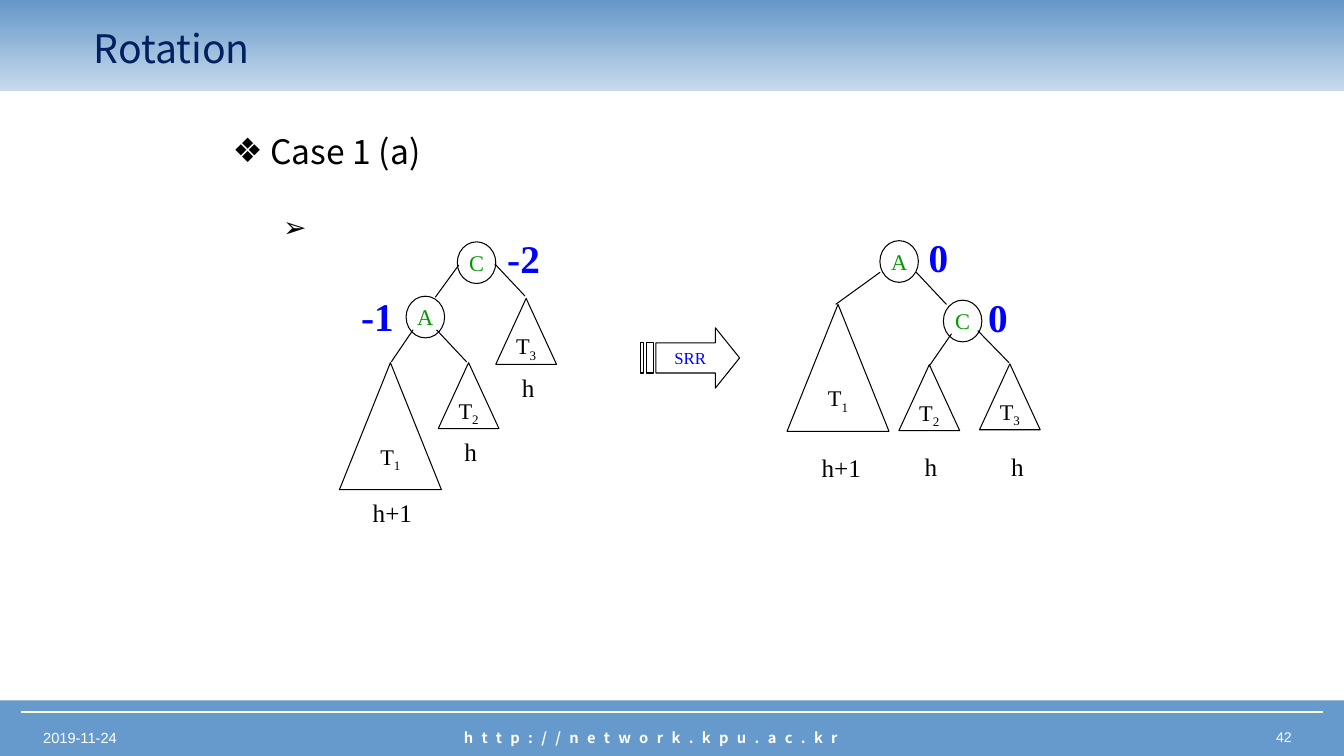
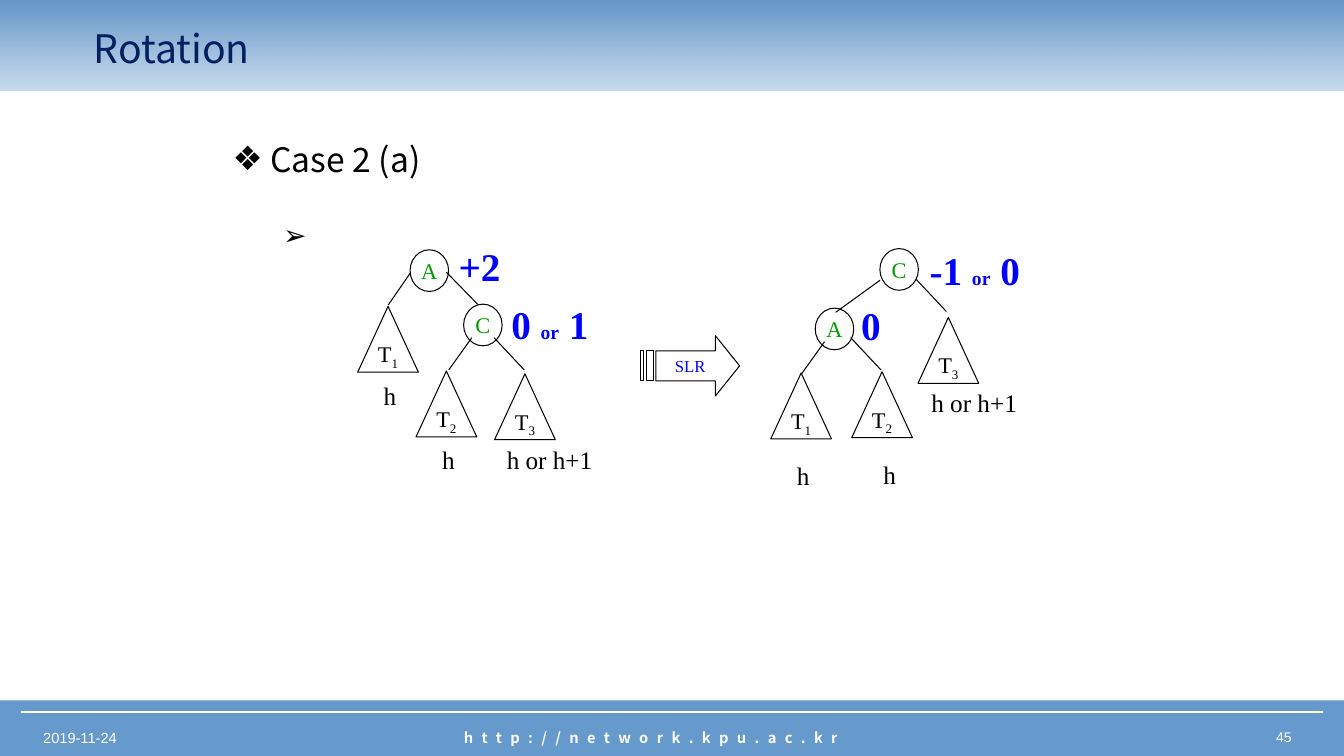
from dataclasses import dataclass

import lxml.etree
import pptx
import pptx.dml.color
import pptx.enum.shapes
import pptx.enum.text
import pptx.oxml.ns
import pptx.util

Cm = pptx.util.Cm
Pt = pptx.util.Pt
RGBColor = pptx.dml.color.RGBColor
SHAPE = pptx.enum.shapes.MSO_SHAPE
STRAIGHT = pptx.enum.shapes.MSO_CONNECTOR.STRAIGHT
ALIGN = pptx.enum.text.PP_ALIGN
MIDDLE = pptx.enum.text.MSO_ANCHOR.MIDDLE
qn = pptx.oxml.ns.qn

BAND_BLUE = RGBColor(0x66, 0x99, 0xCC)
BAND_TOP = RGBColor(0x64, 0x97, 0xC9)
CREAM = RGBColor(0xFF, 0xFF, 0xCC)
NAVY = RGBColor(0x00, 0x20, 0x60)
BLUE = RGBColor(0x00, 0x00, 0xFF)
GREEN = RGBColor(0x00, 0x99, 0x00)
BLACK = RGBColor(0x00, 0x00, 0x00)
WHITE = RGBColor(0xFF, 0xFF, 0xFF)
SANS, SERIF, FOOTER_FONT = "Noto Sans CJK KR", "Times New Roman", "Arial"

SLIDE_W, SLIDE_H = 33.87, 19.05
NODE_W, NODE_H = 0.97, 1.05
EDGE_DROP = 0.81
TREE_LEFTS = (8, 19)
ARROW_LEFT, ARROW_TOP = 16.15, 2.56
WEIGHT_WIDTHS = {"-2": 1.35, "-1": 1.35, "0": 1.02, "+2": 1.57, "0 or 1": 2.46, "-1 or 0": 2.79}
HEIGHT_WIDTHS = {"h": 0.84, "h+1": 1.5, "h or h+1": 2.67}


@dataclass
class Node:
    """Tree node: centre, balance weight with its offset, edges as (dx, dy, run)."""
    key: str
    x: float
    y: float
    weight: str
    weight_offset: tuple
    edges: tuple


@dataclass
class Subtree:
    """Triangular subtree: apex, height label, label shift and gap below the base."""
    index: str
    x: float
    y: float
    height: str
    shift: float = 0.05
    gap: float = 0.07


CASES = [
    ("Case 1 (a)", "42", 3.18, "SRR", (
        ([Node("C", 4.01, 0.92, "-2", (0.51, -0.83), ((-0.45, 0.06, -0.59), (0.46, 0.03, 0.76))),
          Node("A", 2.72, 2.29, "-1", (-1.88, -0.75), ((-0.31, 0.32, -0.55), (0.28, 0.32, 0.76)))],
         [Subtree("1", 1.84, 3.44, "h+1"),
          Subtree("2", 3.81, 3.44, "h"),
          Subtree("3", 5.26, 1.82, "h")]),
        ([Node("A", 3.66, 0.89, "0", (0.48, -0.83), ((-0.48, 0.27, -1.12), (0.43, 0.27, 0.76))),
          Node("C", 5.26, 2.39, "0", (0.38, -0.83), ((-0.28, 0.32, -0.56), (0.38, 0.24, 0.79)))],
         [Subtree("1", 2.12, 1.97, "h+1", 0.08, 0.41),
          Subtree("2", 4.42, 3.49, "h", 0.04, 0.41),
          Subtree("3", 6.45, 3.47, "h", 0.19, 0.41)]))),
    ("Case 2 (a)", "45", 3.38, "SLR", (
        ([Node("A", 2.82, 0.92, "+2", (0.48, -0.83), ((-0.48, 0.06, -0.56), (0.43, 0.04, 0.79))),
          Node("C", 4.17, 2.29, "0 or 1", (0.46, -0.75), ((-0.28, 0.32, -0.58), (0.28, 0.32, 0.76)))],
         [Subtree("1", 1.78, 1.82, "h"),
          Subtree("2", 3.25, 3.45, "h"),
          Subtree("3", 5.23, 3.52, "h or h+1", 0.62, 0)]),
        ([Node("C", 3.66, 0.89, "-1 or 0", (0.51, -0.72), ((-0.48, 0.27, -1.12), (0.43, 0.25, 0.76))),
          Node("A", 2.03, 2.39, "0", (0.41, -0.83), ((-0.25, 0.32, -0.58), (0.41, 0.22, 0.76)))],
         [Subtree("1", 1.19, 3.5, "h", 0.05, 0.41),
          Subtree("2", 3.23, 3.47, "h", 0.19, 0.41),
          Subtree("3", 4.9, 2.1, "h or h+1", 0.65, -0.03)]))),
]


def style(paragraph, size, color, face=SERIF, bold=False, align=ALIGN.CENTER):
    """Set the font and alignment of a whole paragraph."""
    paragraph.alignment = align
    font = paragraph.font
    font.size, font.name, font.bold = Pt(size), face, bold
    font.color.rgb = color


def add_outline(slide, kind, left, top, width, height):
    """Add an unfilled preset shape with a thin black line and centred text."""
    outline = slide.shapes.add_shape(kind, Cm(left), Cm(top), Cm(width), Cm(height))
    outline.shadow.inherit = False
    outline.fill.background()
    outline.line.color.rgb = BLACK
    outline.line.width = Pt(0.75)
    outline.text_frame.word_wrap = False
    outline.text_frame.vertical_anchor = MIDDLE
    return outline


def add_label(slide, left, top, width, height, text, wrap=False):
    """Add a text box and return its only paragraph."""
    frame = slide.shapes.add_textbox(Cm(left), Cm(top), Cm(width), Cm(height)).text_frame
    frame.word_wrap = wrap
    frame.paragraphs[0].text = text
    return frame.paragraphs[0]


def add_line(slide, start, end, color=BLACK, width=0.75):
    """Add a straight line without shadow between two points."""
    line = slide.shapes.add_connector(STRAIGHT, *(Cm(value) for value in (*start, *end)))
    line.line.color.rgb = color
    line.line.width = Pt(width)
    lxml.etree.SubElement(line.element.spPr, qn("a:effectLst"))
    return line


def add_band(slide, top, height):
    """Add a full-width band without outline."""
    band = slide.shapes.add_shape(SHAPE.RECTANGLE, 0, Cm(top), Cm(SLIDE_W), Cm(height))
    band.shadow.inherit = False
    band.line.fill.background()
    return band


def decorate_master(slide):
    """Draw the shared bands and footer, then move them to the slide master."""
    before = len(slide.shapes)
    footer = add_band(slide, 17.65, 1.4)
    footer.fill.solid()
    footer.fill.fore_color.rgb = BAND_BLUE
    header = add_band(slide, 0, 2.29)
    header.fill.gradient()
    header.fill.gradient_angle = 90
    for stop, color in zip(header.fill.gradient_stops, (BAND_BLUE, BAND_TOP)):
        stop.color.rgb = color
    fade = next(header.element.iter(qn("a:srgbClr")))
    lxml.etree.SubElement(fade, qn("a:alpha"), val="35000")
    add_line(slide, (0.53, 17.93), (33.35, 17.93), CREAM, 1.5)
    date = add_label(slide, 0.84, 18.24, 9.07, 0.71, "2019-11-24", True)
    style(date, 10.5, WHITE, FOOTER_FONT, align=ALIGN.LEFT)
    address = add_label(slide, 7.67, 18.24, 17.48, 0.71, "http://network.kpu.ac.kr", True)
    style(address, 10.5, WHITE, SANS, True)
    address.runs[0].font.bold = True
    address.runs[0]._r.get_or_add_rPr().set("spc", "600")
    master_tree = slide.slide_layout.slide_master.shapes.element
    for position, part in enumerate(list(slide.shapes)[before:], 2):
        master_tree.insert(position, part.element)


def set_bullet(paragraph, symbol, margin, hang):
    """Give a paragraph a bullet with a hanging indent."""
    properties = paragraph._p.get_or_add_pPr()
    properties.set("marL", str(Cm(margin)))
    properties.set("indent", str(-Cm(hang)))
    lxml.etree.SubElement(properties, qn("a:buChar"), char=symbol)


def place(holder, left, top, width, height):
    """Move a placeholder to a box."""
    holder.left, holder.top, holder.width, holder.height = map(Cm, (left, top, width, height))


def fill_placeholders(slide, case_name, number, body_top):
    """Write the title, the bulleted body and the page number."""
    title, body = slide.shapes.title, slide.placeholders[1]
    place(title, 2.11, 0.41, 28.58, 1.57)
    title.text_frame.vertical_anchor = MIDDLE
    title.text_frame.text = "Rotation"
    style(title.text_frame.paragraphs[0], 28, NAVY, SANS, align=ALIGN.LEFT)
    place(body, 5.61, body_top, 16, 12.7)
    case = body.text_frame.paragraphs[0]
    case.text = case_name
    set_bullet(case, "❖", 0.95, 0.95)
    case.space_before = Pt(0)
    style(case, 24, BLACK, SANS, align=ALIGN.LEFT)
    detail = body.text_frame.add_paragraph()
    detail.text = " "
    detail.level = 1
    set_bullet(detail, "➢", 2.06, 0.79)
    detail.space_before = Pt(28)
    style(detail, 20, BLACK, SANS, align=ALIGN.LEFT)
    page = add_label(slide, 25.15, 18.24, 7.65, 0.71, number, True)
    style(page, 10, WHITE, FOOTER_FONT, align=ALIGN.RIGHT)


def draw_node(slide, left, top, node):
    """Draw a node with its edges and balance weight."""
    x, y = left + node.x, top + node.y
    circle = add_outline(slide, SHAPE.OVAL, x - NODE_W / 2, y - NODE_H / 2, NODE_W, NODE_H)
    circle.text_frame.text = node.key
    style(circle.text_frame.paragraphs[0], 16, GREEN)
    for dx, dy, run in node.edges:
        add_line(slide, (x + dx, y + dy), (x + dx + run, y + dy + EDGE_DROP))
    shift, rise = node.weight_offset
    weight = add_label(slide, x + shift, y + rise, WEIGHT_WIDTHS[node.weight], 1.45, "")
    for piece in filter(None, node.weight.partition("or")):
        part = weight.add_run()
        part.text = piece
        if piece == "or":
            part.font.size = Pt(14)
    style(weight, 28, BLUE, bold=True)


def draw_subtree(slide, left, top, subtree):
    """Draw a subtree triangle with its name and height."""
    x, y = left + subtree.x, top + subtree.y
    width, height = (2.57, 3.2) if subtree.height == "h+1" else (1.53, 1.66)
    triangle = add_outline(slide, SHAPE.ISOSCELES_TRIANGLE, x - width / 2, y, width, height)
    name = triangle.text_frame.paragraphs[0]
    name.text = "T"
    index = name.add_run()
    index.text = subtree.index
    index._r.get_or_add_rPr().set("baseline", "-25000")
    style(name, 16, BLACK)
    label_width = HEIGHT_WIDTHS[subtree.height]
    label = add_label(slide, x + subtree.shift - label_width / 2, y + height + subtree.gap,
                      label_width, 1.02, subtree.height)
    style(label, 18, BLACK)


def draw_arrow(slide, left, top, rotation):
    """Draw the striped arrow that names the rotation."""
    head = [(1.88, 0), (1.88, 0.38), (0.38, 0.38), (0.38, 1.14), (1.88, 1.14), (1.88, 1.52), (2.49, 0.76)]
    stripes = [[(a, 0.38), (a, 1.14), (b, 1.14), (b, 0.38)] for a, b in ((0.15, 0.31), (0, 0.08))]
    builder = None
    for contour in (head, *stripes):
        start, *rest = [(Cm(left + x), Cm(top + y)) for x, y in contour]
        if builder is None:
            builder = slide.shapes.build_freeform(*start)
        else:
            builder.move_to(*start)
        builder.add_line_segments(rest, close=True)
    arrow = builder.convert_to_shape()
    arrow.shadow.inherit = False
    arrow.fill.solid()
    arrow.fill.fore_color.rgb = WHITE
    arrow.line.color.rgb = BLACK
    arrow.line.width = Pt(0.75)
    arrow.text_frame.vertical_anchor = MIDDLE
    arrow.text_frame.text = rotation
    style(arrow.text_frame.paragraphs[0], 12, BLUE)


def draw_rotation(slide, top, rotation, trees):
    """Draw the trees before and after a rotation, with the arrow between."""
    for left, (nodes, subtrees) in zip(TREE_LEFTS, trees):
        for node in nodes:
            draw_node(slide, left, top, node)
        for subtree in subtrees:
            draw_subtree(slide, left, top, subtree)
    draw_arrow(slide, ARROW_LEFT, top + ARROW_TOP, rotation)


def main():
    """Build and save the presentation."""
    deck = pptx.Presentation()
    deck.slide_width, deck.slide_height = Cm(SLIDE_W), Cm(SLIDE_H)
    for position, (case_name, number, body_top, rotation, trees) in enumerate(CASES):
        slide = deck.slides.add_slide(deck.slide_layouts[1])
        if position == 0:
            decorate_master(slide)
        fill_placeholders(slide, case_name, number, body_top)
        draw_rotation(slide, body_top + 2.52, rotation, trees)
    deck.save("out.pptx")


if __name__ == "__main__":
    main()
